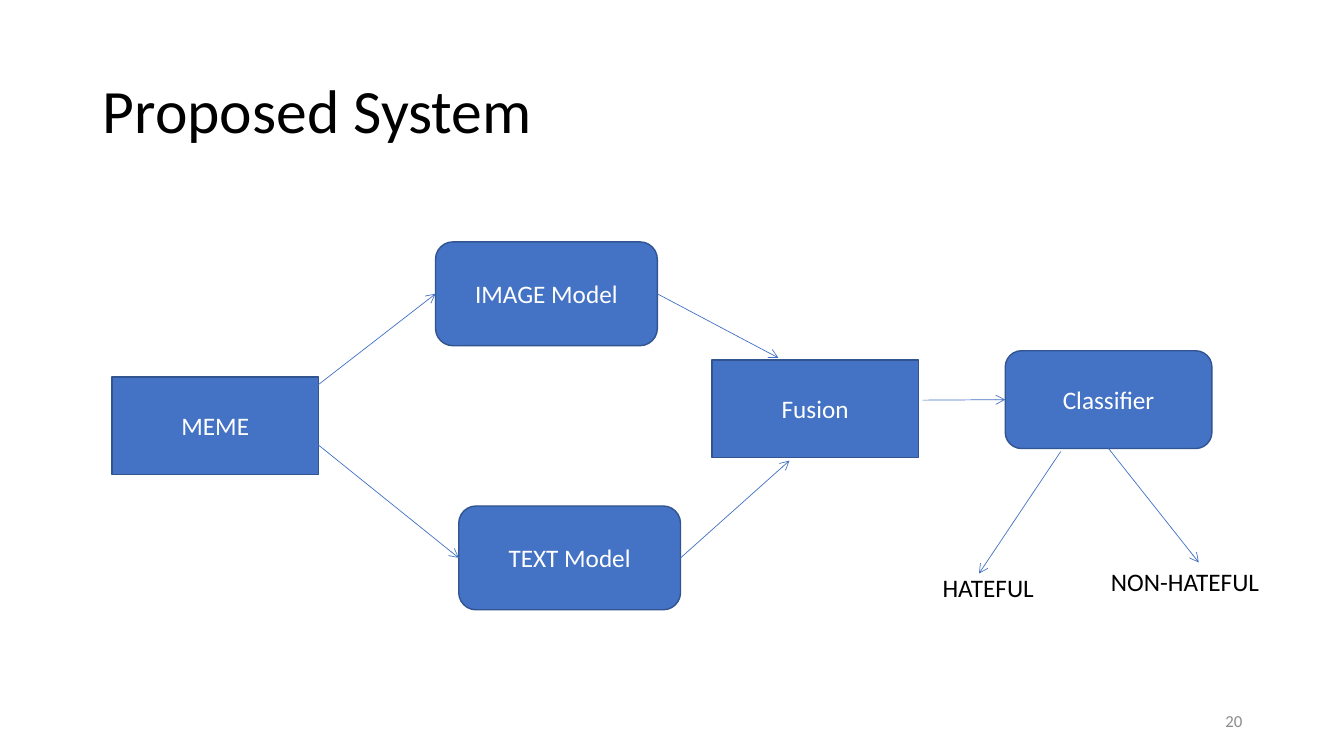
from lxml.etree import SubElement
from pptx import Presentation
from pptx.dml.color import RGBColor
from pptx.enum.shapes import MSO_CONNECTOR, MSO_SHAPE
from pptx.enum.text import MSO_ANCHOR, MSO_AUTO_SIZE, PP_ALIGN
from pptx.oxml.ns import qn
from pptx.util import Inches, Pt

FONT = "Calibri"
COLORS = {
    "blue": "4472C4",
    "outline": "325491",
    "white": "FFFFFF",
    "black": "000000",
    "gray": "8C8C8C",
}
TITLE = ("Proposed System", (0.92, 0.4, 11.5, 1.45))
PAGE_NUMBER = ("20", (9.42, 6.95, 3, 0.4))

BOX, ROUND = MSO_SHAPE.RECTANGLE, MSO_SHAPE.ROUNDED_RECTANGLE
STAGES = [
    ("IMAGE Model", ROUND, (4.32, 2.4, 2.2, 1.03)),
    ("TEXT Model", ROUND, (4.55, 5.02, 2.2, 1.03)),
    ("Classifier", ROUND, (9.97, 3.48, 2.05, 0.97)),
    ("MEME", BOX, (1.11, 3.74, 2.05, 0.97)),
    ("Fusion", BOX, (7.06, 3.57, 2.05, 0.97)),
]
OUTCOMES = [
    ("HATEFUL", (9.25, 5.63, 1.11, 0.4)),
    ("NON-HATEFUL", (10.92, 5.57, 1.68, 0.4)),
]
BOTTOM, LEFT, RIGHT = 2, 1, 3
ARROWS = [
    ((3.14, 3.83), (4.32, 2.92), None, ("IMAGE Model", LEFT)),
    ((3.14, 4.4), (4.55, 5.53), None, ("TEXT Model", LEFT)),
    ((6.52, 2.92), (7.72, 3.55), ("IMAGE Model", RIGHT), None),
    ((6.75, 5.53), (7.83, 4.57), ("TEXT Model", RIGHT), None),
    ((9.15, 3.97), (9.97, 3.96), None, ("Classifier", LEFT)),
    ((10.52, 4.48), (9.71, 5.69), None, None),
    ((10.99, 4.45), (11.89, 5.58), ("Classifier", BOTTOM), None),
]


def color(name):
    return RGBColor.from_string(COLORS[name])


def inches(values):
    return [Inches(value) for value in values]


def write(shape, text, size, ink, align=PP_ALIGN.LEFT, anchor=MSO_ANCHOR.MIDDLE):
    frame = shape.text_frame
    frame.text = text
    frame.vertical_anchor = anchor
    paragraph = frame.paragraphs[0]
    paragraph.alignment = align
    paragraph.font.name = FONT
    paragraph.font.size = Pt(size)
    paragraph.font.color.rgb = color(ink)
    return frame


def add_stage(slide, text, kind, place):
    stage = slide.shapes.add_shape(kind, *inches(place))
    stage.shadow.inherit = False
    stage.fill.solid()
    stage.fill.fore_color.rgb = color("blue")
    stage.line.color.rgb = color("outline")
    stage.line.width = Pt(1)
    write(stage, text, 18, "white", PP_ALIGN.CENTER)
    return stage


def add_arrow(slide, stages, start, end, source, target):
    arrow = slide.shapes.add_connector(MSO_CONNECTOR.STRAIGHT, *inches(start + end))
    if source:
        arrow.begin_connect(stages[source[0]], source[1])
    if target:
        arrow.end_connect(stages[target[0]], target[1])
    arrow.line.color.rgb = color("blue")
    arrow.line.width = Pt(0.5)
    SubElement(arrow.line._get_or_add_ln(), qn("a:tailEnd"), type="arrow")
    SubElement(arrow._element.spPr, qn("a:effectLst"))


def main():
    deck = Presentation()
    deck.slide_width, deck.slide_height = Inches(13.33), Inches(7.5)
    slide = deck.slides.add_slide(deck.slide_layouts[5])

    heading, place = TITLE
    title = slide.shapes.title
    title.left, title.top, title.width, title.height = inches(place)
    frame = write(title, heading, 44, "black")
    frame.auto_size = MSO_AUTO_SIZE.NONE
    frame.paragraphs[0].line_spacing = 0.9

    number, place = PAGE_NUMBER
    page = slide.shapes.add_textbox(*inches(place))
    write(page, number, 12, "gray", PP_ALIGN.RIGHT).word_wrap = True

    stages = {stage[0]: add_stage(slide, *stage) for stage in STAGES}
    for arrow in ARROWS:
        add_arrow(slide, stages, *arrow)

    for text, place in OUTCOMES:
        outcome = slide.shapes.add_textbox(*inches(place))
        frame = write(outcome, text, 18, "black", anchor=MSO_ANCHOR.TOP)
        frame.word_wrap = False
        frame.auto_size = MSO_AUTO_SIZE.SHAPE_TO_FIT_TEXT

    deck.save("out.pptx")


if __name__ == "__main__":
    main()
